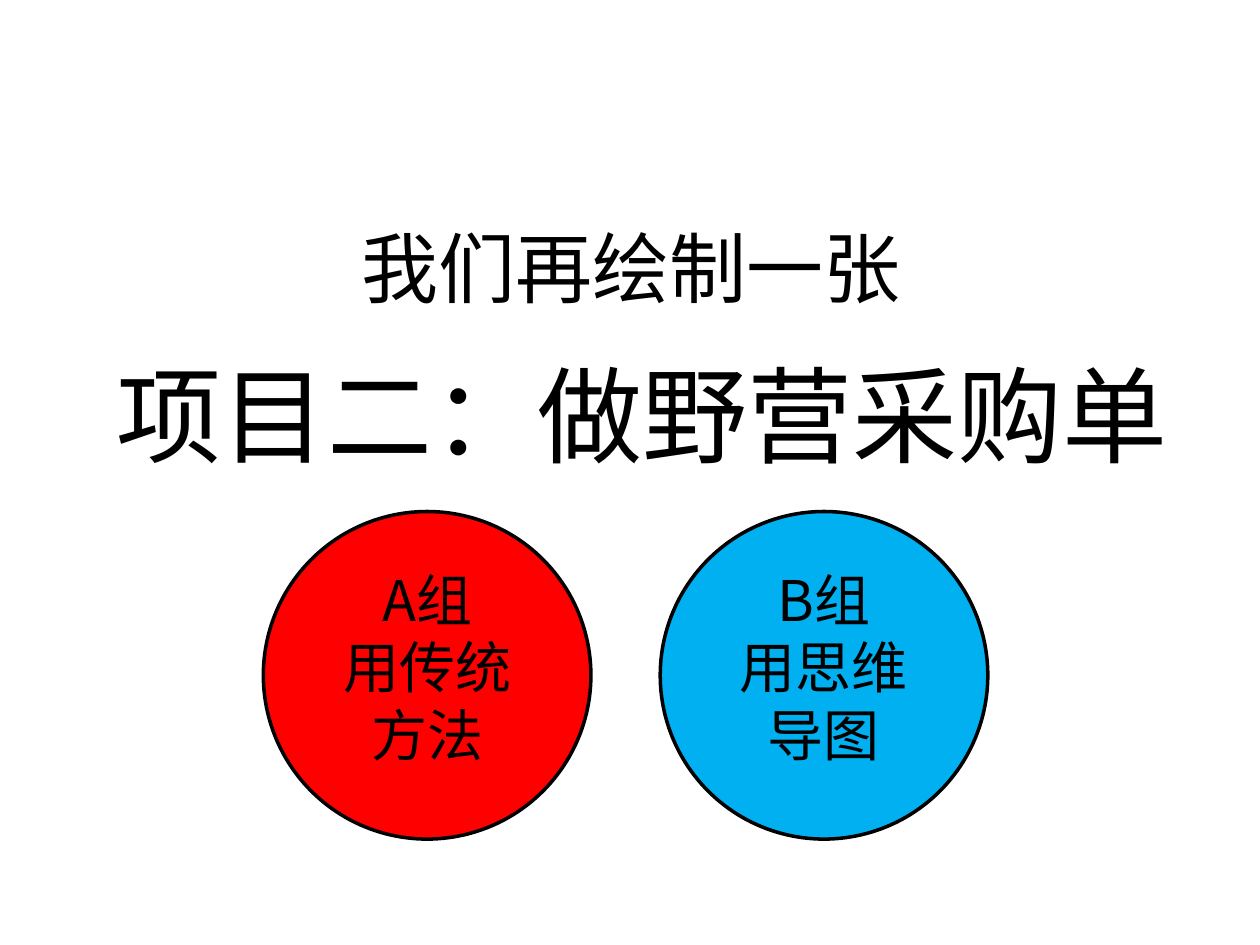
from pptx import Presentation
from pptx.dml.color import RGBColor
from pptx.enum.shapes import MSO_SHAPE
from pptx.enum.text import MSO_ANCHOR, PP_ALIGN
from pptx.oxml.ns import qn
from pptx.util import Inches, Pt

OVAL = MSO_SHAPE.OVAL
TOP = MSO_ANCHOR.TOP
LEFT, CENTER = PP_ALIGN.LEFT, PP_ALIGN.CENTER
FONT = "Noto Sans CJK SC"
LINE_HEIGHT = 1.2
COLORS = {"paper": "FFFFFF", "ink": "000000", "group_a": "FF0000", "group_b": "00B0F0"}


def color(name):
    return RGBColor.from_string(COLORS[name])


def write(frame, text, size, align, wrap=True):
    frame.text = text
    frame.word_wrap = wrap
    frame.vertical_anchor = TOP
    for paragraph in frame.paragraphs:
        paragraph.alignment = align
        paragraph.line_spacing = Pt(size * LINE_HEIGHT)
        for run in paragraph.runs:
            run.font.size = Pt(size)
            run.font.name = FONT
            run.font.color.rgb = color("ink")
            east_asian = run.font._element.makeelement(qn("a:ea"), {"typeface": FONT})
            run.font._element.find(qn("a:latin")).addnext(east_asian)


def add_heading(slide, text, box, size, align, wrap=True):
    heading = slide.shapes.add_textbox(*map(Inches, box))
    write(heading.text_frame, text, size, align, wrap)


def add_group(slide, text, left, fill):
    circle = slide.shapes.add_shape(OVAL, Inches(left), Inches(4.06), Inches(2.6), Inches(2.6))
    circle.shadow.inherit = False
    circle.fill.solid()
    circle.fill.fore_color.rgb = color(fill)
    circle.line.color.rgb = color("ink")
    circle.line.width = Pt(2)
    write(circle.text_frame, text, 32, CENTER)


def main():
    deck = Presentation()
    deck.slide_width, deck.slide_height = Inches(10), Inches(7.5)
    slide = deck.slides.add_slide(deck.slide_layouts[6])
    slide.background.fill.solid()
    slide.background.fill.fore_color.rgb = color("paper")

    add_heading(slide, "我们再绘制一张", (0.51, 1.7, 9, 1.25), 44, CENTER)
    add_heading(slide, "项目二：做野营采购单", (0.83, 2.73, 8.62, 1.11), 60, LEFT, wrap=False)
    add_group(slide, "A组\n用传统方法", 2.09, "group_a")
    add_group(slide, "B组\n用思维导图", 5.24, "group_b")

    deck.save("out.pptx")


if __name__ == "__main__":
    main()
